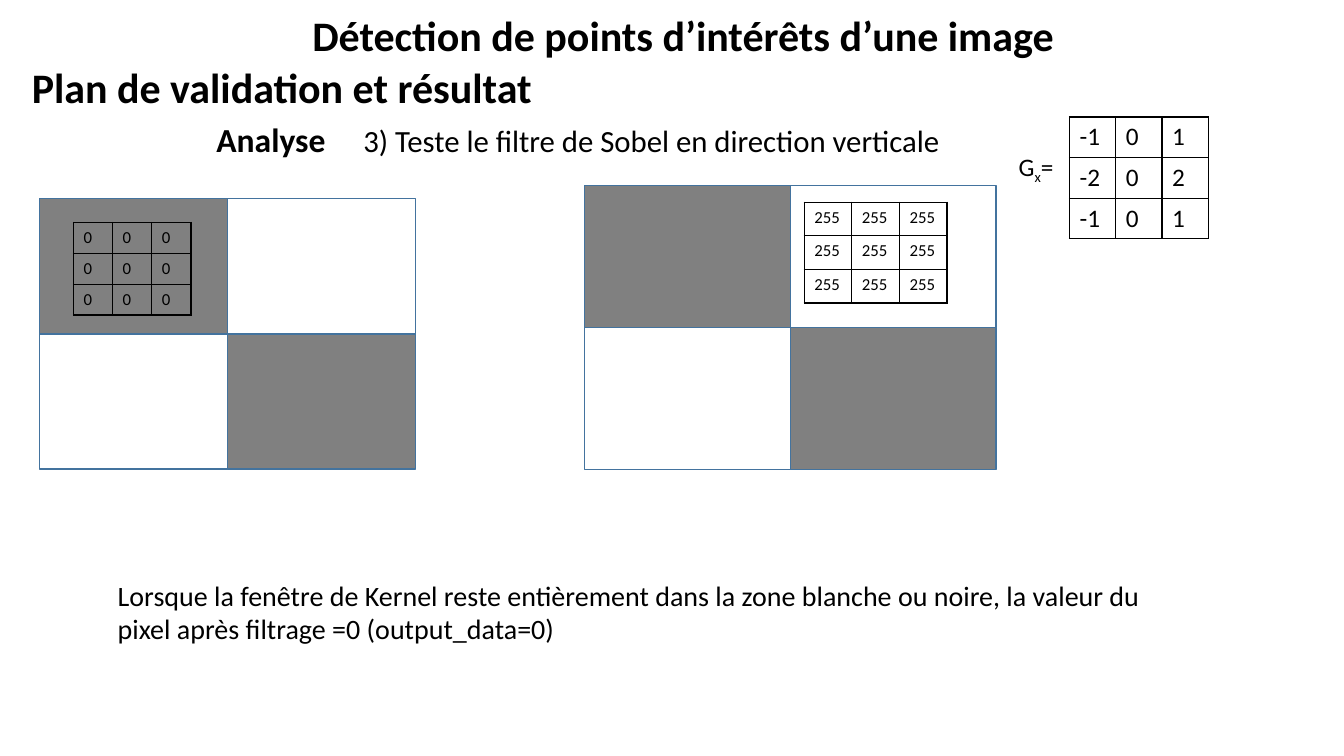
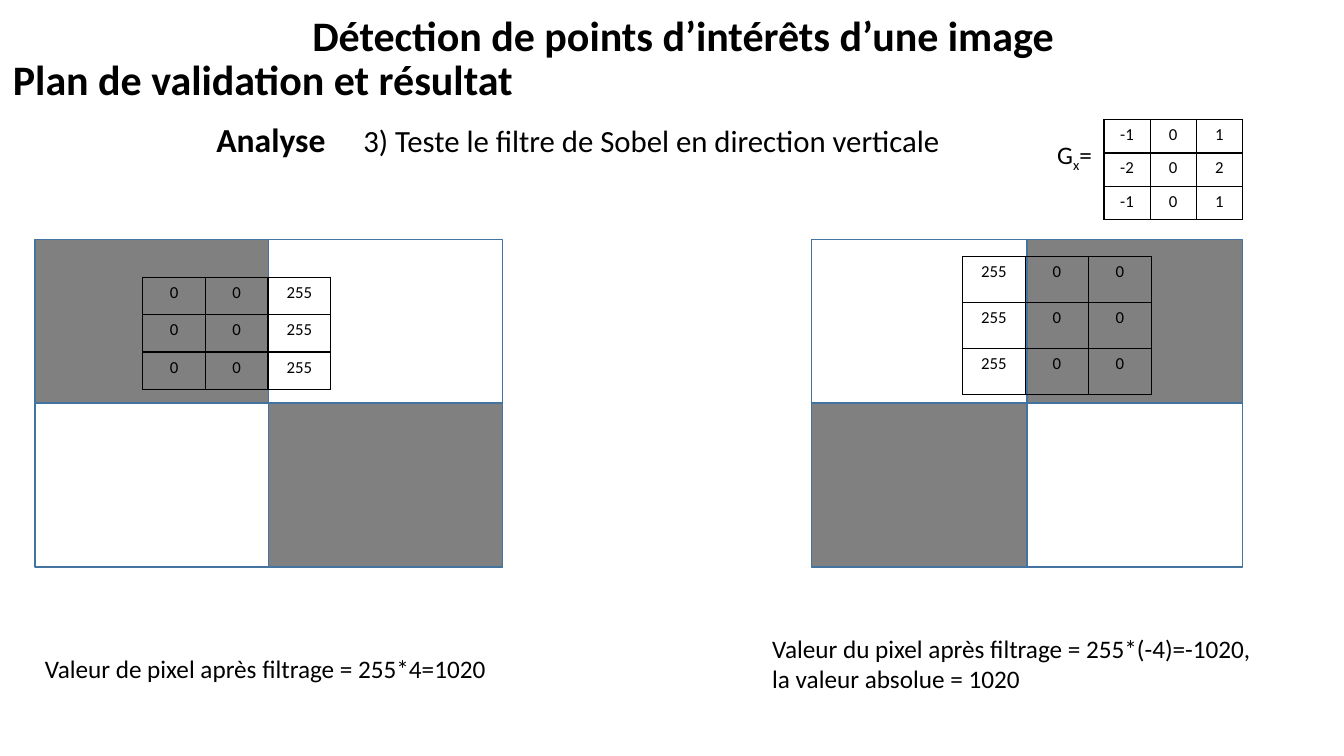
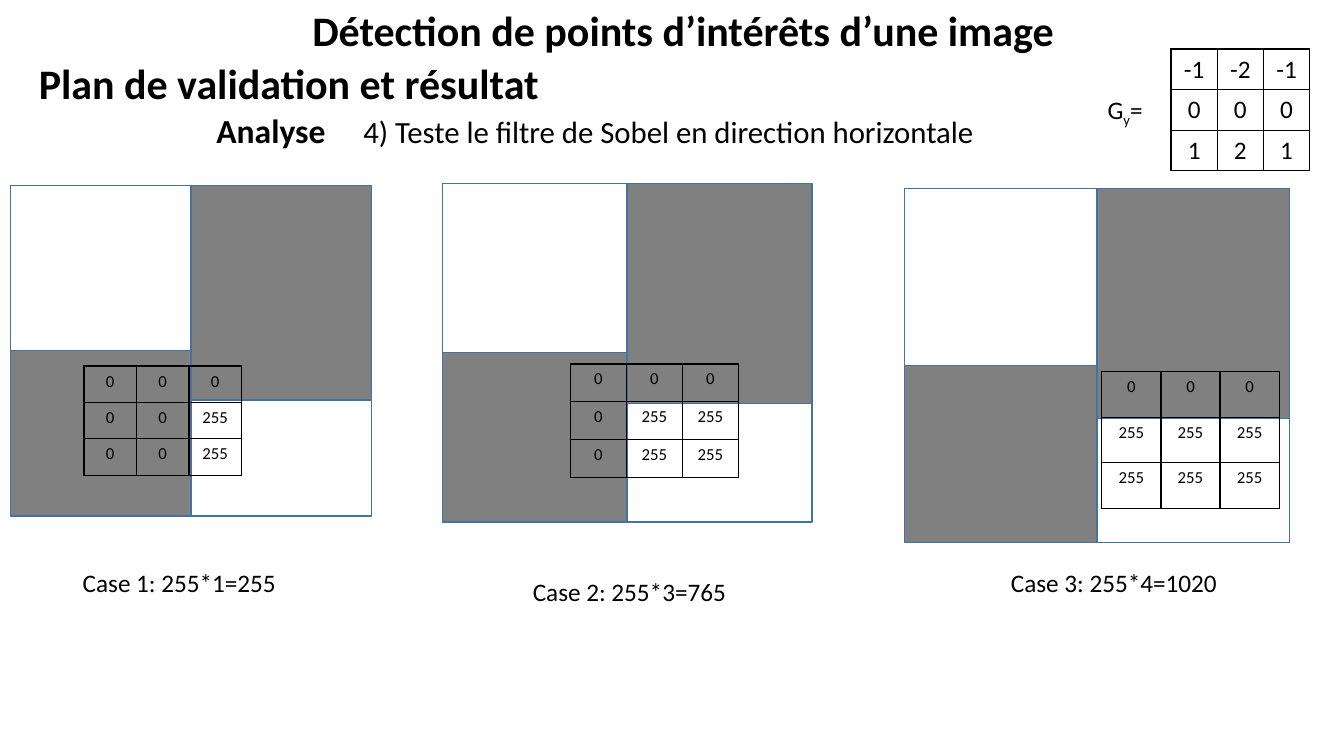
"""Build three slides testing the Sobel filter on a checkerboard image."""
from lxml import etree
from pptx import Presentation
from pptx.dml.color import RGBColor
from pptx.enum.shapes import MSO_SHAPE
from pptx.enum.text import MSO_AUTO_SIZE, PP_ALIGN
from pptx.oxml.ns import qn
from pptx.util import Pt

RECTANGLE = MSO_SHAPE.RECTANGLE
FIT = MSO_AUTO_SIZE.SHAPE_TO_FIT_TEXT
LEFT, CENTER = PP_ALIGN.LEFT, PP_ALIGN.CENTER
FONT = "Calibri"
BLACK, GREY, WHITE, OUTLINE = "000000", "808080", "FFFFFF", "43739E"
TITLE = "Détection de points d’intérêts d’une image"
SECTION = "Plan de validation et résultat"
VERTICAL_KERNEL = ["-1 0 1", "-2 0 2", "-1 0 1"]
HORIZONTAL_KERNEL = ["-1 -2 -1", "0 0 0", "1 2 1"]
color = RGBColor.from_string


def add_text(slide, box, lines, align=LEFT, wrap=False, tab=None):
    """Add a text box whose lines are lists of (text, size, bold, baseline) runs."""
    shape = slide.shapes.add_textbox(*map(Pt, box))
    frame = shape.text_frame
    frame.word_wrap = wrap
    frame.auto_size = FIT
    for index, line in enumerate(lines):
        paragraph = frame.add_paragraph() if index else frame.paragraphs[0]
        paragraph.alignment = align
        if tab:
            stops = etree.SubElement(paragraph._p.get_or_add_pPr(), qn("a:tabLst"))
            etree.SubElement(stops, qn("a:tab"), pos=str(Pt(tab)), algn="l")
        for text, size, bold, baseline in line:
            run = paragraph.add_run()
            run.text = text
            run.font.name, run.font.size, run.font.bold = FONT, Pt(size), bold
            run.font.color.rgb = color(BLACK)
            if baseline:
                run._r.get_or_add_rPr().set("baseline", str(baseline))


def add_matrix(slide, left, top, column_width, row_height, rows, size, align):
    """Add a transparent 3 by 3 table with black cell borders."""
    table = slide.shapes.add_table(3, 3, Pt(left), Pt(top), Pt(3 * column_width),
                                   Pt(3 * row_height)).table
    table.first_row = table.horz_banding = False
    for row_index, row in enumerate(rows):
        table.rows[row_index].height = Pt(row_height)
        table.columns[row_index].width = Pt(column_width)
        for column_index, value in enumerate(row.split()):
            cell = table.cell(row_index, column_index)
            properties = cell._tc.get_or_add_tcPr()
            for side in ("lnL", "lnR", "lnT", "lnB"):
                border = etree.SubElement(properties, qn(f"a:{side}"), w=str(Pt(1)))
                paint = etree.SubElement(border, qn("a:solidFill"))
                etree.SubElement(paint, qn("a:srgbClr"), val=BLACK)
            cell.fill.background()
            paragraph = cell.text_frame.paragraphs[0]
            paragraph.alignment = align
            run = paragraph.add_run()
            run.text = value
            run.font.name, run.font.size, run.font.bold = FONT, Pt(size), False
            run.font.color.rgb = color(BLACK)


tests = [
    {
        "title_top": 3, "section": (13.5, 40.5), "analysis_top": 81.5,
        "analysis": "3) Teste le filtre de Sobel en direction verticale",
        "axis": "x", "axis_at": (720.5, 104.5), "align": LEFT,
        "kernel": (764, 83.5, 33, 29, VERTICAL_KERNEL, 18),
        "images": [
            ((28, 142, 134.5, 193, 0.5), (GREY, WHITE),
             (52.5, 159, 28, 22, ["0 0 0"] * 3)),
            ((417.5, 132.5, 147, 203, 0.5), (GREY, WHITE),
             (574.5, 144.5, 34, 24, ["255 255 255"] * 3)),
        ],
        "captions": [
            ((77, 409.5, 753, 55.5), 20, True,
             ["Lorsque la fenêtre de Kernel reste entièrement dans la zone blanche "
              "ou noire, la valeur du pixel après filtrage =0 (output_data=0)"]),
        ],
    },
    {
        "title_top": 3, "section": (0, 34.5), "analysis_top": 81.5,
        "analysis": "3) Teste le filtre de Sobel en direction verticale",
        "axis": "x", "axis_at": (748, 96), "align": CENTER,
        "kernel": (788.5, 85.5, 33, 23.75, VERTICAL_KERNEL, 12),
        "images": [
            ((25, 171, 167, 234, 0.5), (GREY, WHITE),
             (102, 198, 44.75, 26.75, ["0 0 255"] * 3)),
            ((579.5, 171, 154, 234, 0.5), (WHITE, GREY),
             (687.5, 183, 45, 33, ["255 0 0"] * 3)),
        ],
        "captions": [
            ((25, 463, 333.5, 29), 18, False,
             ["Valeur de pixel après filtrage = 255*4=1020"]),
            ((544.5, 448.5, 364.5, 51), 18, False,
             ["Valeur du pixel après filtrage = 255*(-4)=-1020,",
              "la valeur absolue = 1020"]),
        ],
    },
    {
        "title_top": 0, "section": (18.5, 37.5), "analysis_top": 75,
        "analysis": "4) Teste le filtre de Sobel en direction horizontale",
        "axis": "y", "axis_at": (784, 63.5), "align": CENTER,
        "kernel": (836.5, 35, 33, 29, HORIZONTAL_KERNEL, 18),
        "images": [
            ((7.5, 132.5, 129, 236, 0.65), (WHITE, GREY),
             (60, 261.5, 37.5, 26, ["0 0 0", "0 0 255", "0 0 255"])),
            ((316, 131, 132, 242, 0.65), (WHITE, GREY),
             (407.5, 260, 40, 27, ["0 0 0", "0 255 255", "0 255 255"])),
            ((646, 134.5, 137.5, 253, 0.65), (WHITE, GREY),
             (787, 265.5, 42.25, 32.5, ["0 0 0", "255 255 255", "255 255 255"])),
        ],
        "captions": [
            ((52, 402, 154, 29), 18, False, ["Case 1: 255*1=255"]),
            ((373.5, 408, 154, 29), 18, False, ["Case 2: 255*3=765"]),
            ((715, 402, 163.5, 29), 18, False, ["Case 3: 255*4=1020"]),
        ],
    },
]

deck = Presentation()
deck.slide_width, deck.slide_height = Pt(960), Pt(540)

for test in tests:
    slide = deck.slides.add_slide(deck.slide_layouts[6])
    add_text(slide, (216, test["title_top"], 560, 44), [[(TITLE, 30, True, 0)]])
    add_text(slide, (*test["section"], 376, 44), [[(SECTION, 30, True, 0)]], CENTER)
    add_text(slide, (147.5, test["analysis_top"], 573, 36),
             [[("Analyse\t", 24, True, 0), (test["analysis"], 22, False, 0)]],
             wrap=True, tab=105)

    for (left, top, width, height, right_split), tones, window in test["images"]:
        quadrants = slide.shapes.add_group_shape().shapes
        for column, split in enumerate((0.5, right_split)):
            upper = height * split
            for row, (y, part) in enumerate(((top, upper), (top + upper, height - upper))):
                quadrant = quadrants.add_shape(RECTANGLE, Pt(left + column * width), Pt(y),
                                               Pt(width), Pt(part))
                quadrant.shadow.inherit = False
                quadrant.fill.solid()
                quadrant.fill.fore_color.rgb = color(tones[(row + column) % 2])
                quadrant.line.color.rgb = color(OUTLINE)
                quadrant.line.width = Pt(1)
        add_matrix(slide, *window, 12, test["align"])

    add_matrix(slide, *test["kernel"], test["align"])
    add_text(slide, (*test["axis_at"], 40.5, 29),
             [[("G", 18, False, 0), (test["axis"], 18, False, -25000), ("=", 18, False, 0)]])
    for box, size, wrap, lines in test["captions"]:
        add_text(slide, box, [[(line, size, False, 0)] for line in lines], wrap=wrap)

deck.save("out.pptx")
